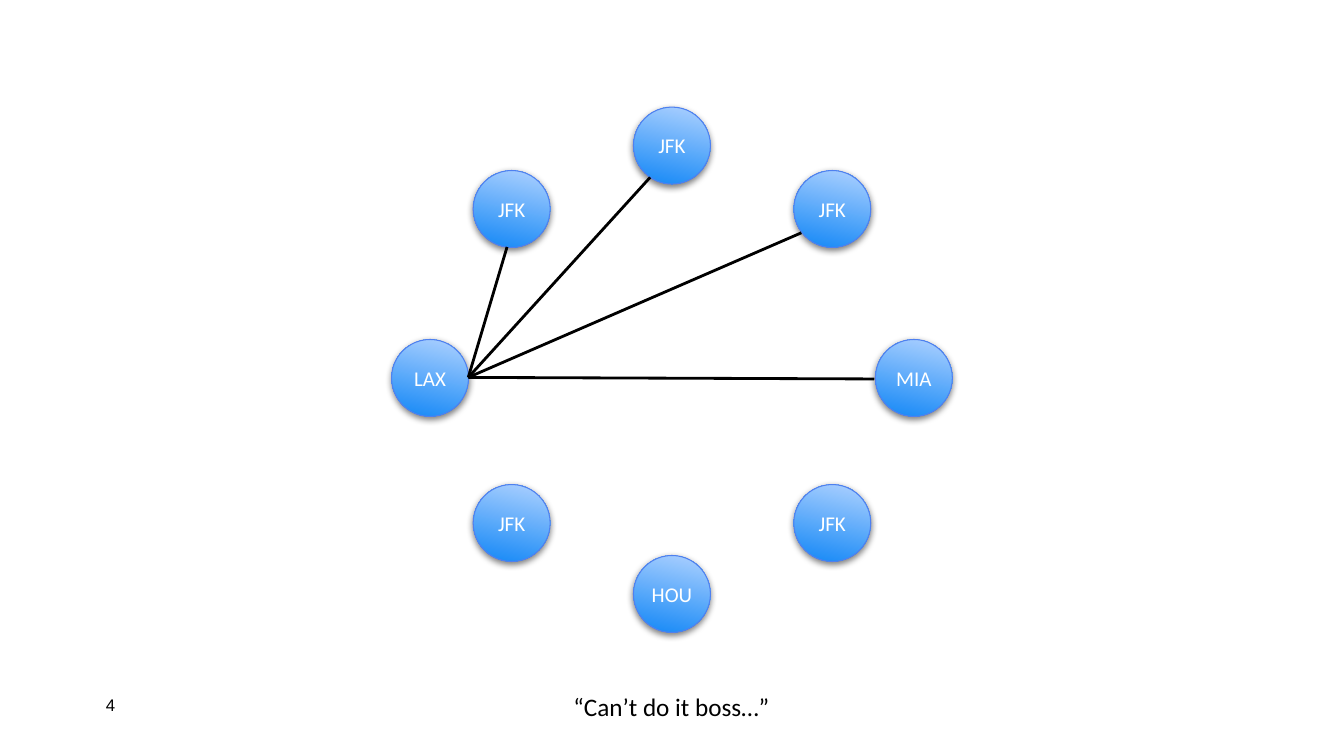
import pptx
import pptx.util
import pptx.dml.color
import pptx.enum.shapes
import pptx.enum.text
import pptx.oxml
import pptx.oxml.ns
import pptx.oxml.xmlchemy

Pt = pptx.util.Pt
RGB = pptx.dml.color.RGBColor.from_string
ANCHOR = pptx.enum.text.MSO_ANCHOR
ALIGN = pptx.enum.text.PP_ALIGN
COLORS = {
    "deep": "1287F6",
    "pale": "AFD2FF",
    "outline": "4F80EF",
    "white": "FFFFFF",
    "black": "000000",
}
SHADOW = (
    f'<a:outerShdw {pptx.oxml.ns.nsdecls("a")} blurRad="63500" dist="25400" dir="5400000" rotWithShape="0">'
    f'<a:srgbClr val="{COLORS["black"]}"><a:alpha val="50000"/></a:srgbClr></a:outerShdw>'
)


def write(box, text, font, size, color, anchor, align):
    frame = box.text_frame
    frame.margin_left = frame.margin_right = Pt(3.6)
    frame.margin_top = frame.margin_bottom = Pt(3.6)
    frame.word_wrap = False
    frame.vertical_anchor = anchor
    para = frame.paragraphs[0]
    para.text = text
    para.alignment = align
    para.font.name = font
    para.font.size = Pt(size)
    para.font.color.rgb = RGB(COLORS[color])


deck = pptx.Presentation()
deck.slide_width = Pt(960)
deck.slide_height = Pt(540)
page = deck.slides.add_slide(deck.slide_layouts[6])

middle = 480
wide, near = 172.8, 114.5
diameter = 55
airports = [
    ("LAX", middle - wide, 270),
    ("JFK", middle, 104),
    ("MIA", middle + wide, 270),
    ("HOU", middle, 424.3),
    ("JFK", middle - near, 149.3),
    ("JFK", middle + near, 149.3),
    ("JFK", middle + near, 373.6),
    ("JFK", middle - near, 373.6),
]
for code, x, y in airports:
    airport = page.shapes.add_shape(
        pptx.enum.shapes.MSO_SHAPE.OVAL,
        Pt(x - diameter / 2), Pt(y - diameter / 2), Pt(diameter), Pt(diameter),
    )
    airport.fill.gradient()
    airport.fill.gradient_angle = 77
    for stop, position, color in zip(airport.fill.gradient_stops, (0, 1), ("deep", "pale")):
        stop.position = position
        stop.color.rgb = RGB(COLORS[color])
    airport.line.color.rgb = RGB(COLORS["outline"])
    airport.line.width = Pt(0.75)
    airport.shadow.inherit = False
    effects = airport.element.spPr.find(pptx.oxml.ns.qn("a:effectLst"))
    effects.append(pptx.oxml.parse_xml(SHADOW))
    write(airport, code, "Calibri", 15, "white", ANCHOR.MIDDLE, ALIGN.CENTER)

hub = (334.5, 269.6)
for x, y in [(624.5, 270.7), (572.4, 166.3), (464.4, 126.7), (362.2, 176.4)]:
    route = page.shapes.add_connector(
        pptx.enum.shapes.MSO_CONNECTOR.STRAIGHT, Pt(x), Pt(y), Pt(hub[0]), Pt(hub[1])
    )
    route.line.color.rgb = RGB(COLORS["black"])
    route.line.width = Pt(2)
    route.element.spPr.append(pptx.oxml.xmlchemy.OxmlElement("a:effectLst"))

caption = page.shapes.add_textbox(Pt(406), Pt(490.3), Pt(148.3), Pt(26))
write(caption, "“Can’t do it boss…”", "Calibri", 18, "black", ANCHOR.TOP, ALIGN.LEFT)

number = page.shapes.add_textbox(Pt(72), Pt(493.2), Pt(15), Pt(21))
write(number, "4", "Arial", 12, "black", ANCHOR.MIDDLE, ALIGN.LEFT)

deck.save("out.pptx")
